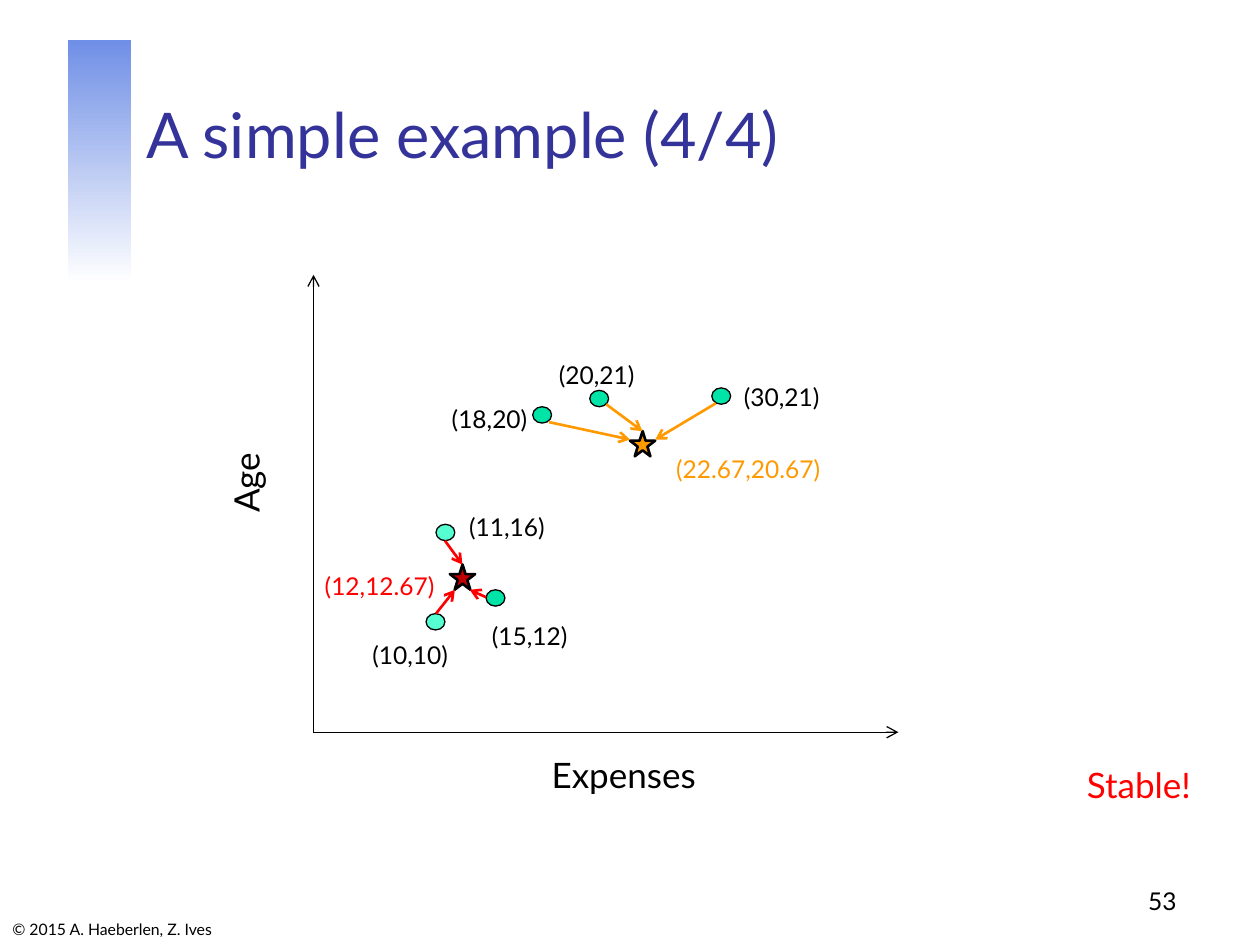
from pptx import Presentation
from pptx.dml.color import RGBColor
from pptx.enum.shapes import MSO_CONNECTOR, MSO_SHAPE
from pptx.enum.text import MSO_ANCHOR, MSO_AUTO_SIZE, PP_ALIGN
from pptx.oxml.ns import qn
from pptx.util import Cm, Pt
from lxml.etree import SubElement

BLACK, RED, GOLD = "000000", "FF0000", "FF9900"
GREEN, MINT = "00E4A8", "56FFD2"


def color(code):
    """Turn a hex string into a colour."""
    return RGBColor.from_string(code)


class Deck:
    """Hold the style and the current slide."""

    def __init__(self, font):
        """Start a deck with one title-only slide."""
        self.font = font
        self.show = Presentation()
        self.show.slide_width, self.show.slide_height = Cm(25.4), Cm(19.05)
        self.slide = self.show.slides.add_slide(self.show.slide_layouts[5])

    def fill_text(self, frame, text, size, code, align, anchor):
        """Put one styled run into a text frame."""
        frame.vertical_anchor = anchor
        para = frame.paragraphs[0]
        para.alignment = align
        run = para.add_run()
        run.text = text
        run.font.name, run.font.size = self.font, Pt(size)
        run.font.color.rgb = color(code)
        return para

    def title(self, text, box, size, code):
        """Place and fill the title."""
        shape = self.slide.shapes.title
        shape.left, shape.top, shape.width, shape.height = map(Cm, box)
        frame = shape.text_frame
        frame.auto_size = MSO_AUTO_SIZE.NONE
        self.fill_text(frame, text, size, code, PP_ALIGN.LEFT, MSO_ANCHOR.BOTTOM)

    def note(self, text, box, size, align):
        """Add a bottom-anchored text at the slide's foot."""
        frame = self.slide.shapes.add_textbox(*map(Cm, box)).text_frame
        frame.word_wrap = True
        self.fill_text(frame, text, size, BLACK, align, MSO_ANCHOR.BOTTOM)

    def label(self, text, box, size=14, code=BLACK, turn=0):
        """Add a centred label that fits its text."""
        shape = self.slide.shapes.add_textbox(*map(Cm, box))
        shape.rotation = turn
        frame = shape.text_frame
        frame.word_wrap = bool(turn)
        frame.auto_size = MSO_AUTO_SIZE.SHAPE_TO_FIT_TEXT
        para = self.fill_text(frame, text, size, code, PP_ALIGN.CENTER, MSO_ANCHOR.TOP)
        para.space_before = Pt(size / 4)

    def mark(self, kind, box, code, width):
        """Add a filled shape with a black outline."""
        shape = self.slide.shapes.add_shape(kind, *map(Cm, box))
        shape.shadow.inherit = False
        shape.fill.solid()
        shape.fill.fore_color.rgb = color(code)
        shape.line.color.rgb = color(BLACK)
        shape.line.width = Pt(width)

    def fade(self, box, first, last):
        """Add a bar that fades from top to bottom."""
        shape = self.slide.shapes.add_shape(MSO_SHAPE.RECTANGLE, *map(Cm, box))
        shape.shadow.inherit = False
        shape.line.fill.background()
        shape.fill.gradient()
        shape.fill.gradient_angle = 270
        for stop, code in zip(shape.fill.gradient_stops, (first, last)):
            stop.color.rgb = color(code)

    def arrow(self, start, end, code=BLACK, width=0.75):
        """Add a straight line with an open arrowhead."""
        line = self.slide.shapes.add_connector(
            MSO_CONNECTOR.STRAIGHT, *map(Cm, start + end))
        line.line.color.rgb = color(code)
        line.line.width = Pt(width)
        props = line._element.spPr
        SubElement(props.find(qn("a:ln")), qn("a:tailEnd"), type="arrow")
        SubElement(props, qn("a:effectLst"))


def main():
    """Build the clustering slide."""
    deck = Deck("Lato")
    deck.fade((1.37, 0.81, 1.27, 4.9), "708FE6", "FFFFFF")
    deck.note("© 2015 A. Haeberlen, Z. Ives", (0, 18.34, 4.93, 0.71), 9, PP_ALIGN.LEFT)
    deck.title("A simple example (4/4)", (2.69, 0.84, 21.64, 2.74), 36, "333399")
    deck.note("53", (18.69, 17.3, 5.28, 1.27), 14, PP_ALIGN.RIGHT)

    deck.arrow((6.32, 14.78), (6.32, 5.54))
    deck.arrow((6.32, 14.76), (18.11, 14.76))
    deck.label("Age", (3.53, 9.17, 2.87, 1.12), 20, turn=270)
    deck.label("Expenses", (10.77, 15.06, 3.61, 1.12), 20)

    points = [
        ("(30,21)", (14.35, 7.82), (14.73, 7.57), GREEN),
        ("(11,16)", (8.79, 10.57), (9.19, 10.19), MINT),
        ("(20,21)", (11.89, 7.87), (11, 7.14), GREEN),
        ("(15,12)", (9.8, 11.89), (9.65, 12.4), GREEN),
        ("(10,10)", (8.59, 12.37), (7.24, 12.78), MINT),
        ("(18,20)", (10.74, 8.2), (8.84, 8.03), GREEN),
    ]
    for text, dot, spot, code in points:
        deck.mark(MSO_SHAPE.OVAL, dot + (0.38, 0.33), code, 0.75)
        deck.label(text, spot + (2.06, 0.86))

    means = [
        ("(22.67,20.67)", (12.7, 8.69), (13.36, 9.02, 3.45, 0.86), GOLD, GOLD,
         [((11.07, 8.51), (12.7, 8.86)), ((12.22, 8.15), (12.95, 8.69)),
          ((14.43, 8.13), (13.21, 8.86))]),
        ("(12,12.67)", (9.07, 11.38), (6.27, 11.38, 2.77, 0.86), "C00000", RED,
         [((8.97, 10.9), (9.32, 11.38)), ((9.8, 12.04), (9.47, 11.89)),
          ((8.79, 12.37), (9.17, 11.89))]),
    ]
    for text, star, box, fill, code, pulls in means:
        deck.mark(MSO_SHAPE.STAR_5_POINT, star + (0.51, 0.51), fill, 1.5)
        deck.label(text, box, code=code)
        for start, end in pulls:
            deck.arrow(start, end, code, 1.5)

    deck.label("Stable!", (21.59, 15.27, 2.74, 1.12), 20, RED)
    deck.show.save("out.pptx")


if __name__ == "__main__":
    main()
